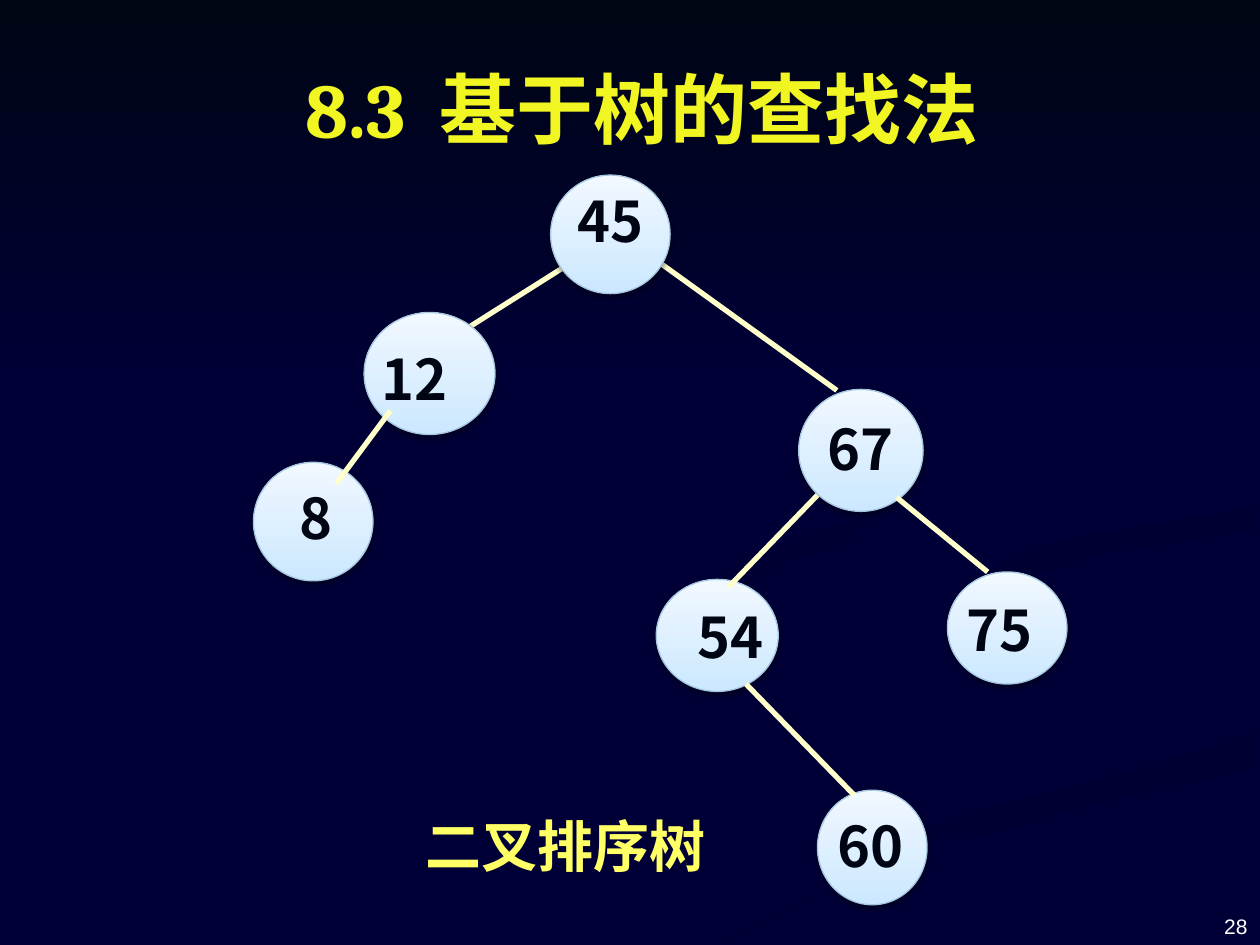
from lxml import etree
from pptx import Presentation
from pptx.dml.color import RGBColor
from pptx.enum.shapes import MSO_CONNECTOR, MSO_SHAPE
from pptx.enum.text import MSO_ANCHOR, PP_ALIGN
from pptx.oxml.ns import qn
from pptx.util import Cm, Pt

STRAIGHT = MSO_CONNECTOR.STRAIGHT
OVAL, RECTANGLE = MSO_SHAPE.OVAL, MSO_SHAPE.RECTANGLE
MIDDLE, BOTTOM = MSO_ANCHOR.MIDDLE, MSO_ANCHOR.BOTTOM
CENTER, RIGHT = PP_ALIGN.CENTER, PP_ALIGN.RIGHT
CJK_FONT = "Noto Sans CJK SC"
NIGHT, INK = "000036", "000514"

# Content: lengths in centimetres
TITLE = ("8.3", " ", "基于树的查找法")
CAPTION = "二叉排序树"
PAGE_NUMBER = "28"

# Number, circle box, label left, top and width
NODES = [
    ("8", (5.11, 9.32, 2.41, 2.39), (5.11, 9.73, 2.51)),
    ("60", (16.48, 15.93, 2.21, 2.31), (16.51, 16.33, 2.08)),
    ("45", (11.1, 3.53, 2.41, 2.39), (10.9, 3.73, 2.82)),
    ("67", (16.1, 7.85, 2.51, 2.46), (16.1, 8.33, 2.51)),
    ("12", (7.34, 6.3, 2.64, 2.46), (7.11, 6.93, 2.51)),
    ("54", (13.23, 11.68, 2.46, 2.26), (13.31, 12.12, 2.82)),
    ("75", (19.1, 11.53, 2.41, 2.26), (18.9, 11.99, 2.51)),
]
EDGES_BEHIND = [(12.09, 4.93, 9.32, 6.68), (12.5, 4.72, 16.87, 7.87)]
EDGES_IN_FRONT = [
    (7.87, 8.28, 6.78, 9.75),
    (18.08, 10.03, 19.91, 11.53),
    (16.48, 9.98, 14.68, 11.84),
    (15.04, 13.79, 17.22, 16.03),
]

# Background ribbons: start colour, end colour, angle, outline
RIBBONS = [
    (NIGHT, "000034", 0, [
        (19.84, 14.05), (18.16, 13.41), (15.9, 12.75), (14.81, 12.12), (14.6, 11.66),
        (14.48, 11.99), (15.29, 12.57), (17.7, 13.34), (19.35, 13.89), (19.96, 14.38),
        (19.28, 14.99), (17.37, 15.57), (14.71, 16.23), (11.63, 17.12), (9.55, 17.96),
        (7.62, 19.02), (9.17, 19.02), (11.84, 17.78), (15.09, 16.66), (17.75, 15.95),
        (19.81, 15.37), (20.32, 14.76), (20.12, 14.25)]),
    (NIGHT, "000034", 315, [
        (23.95, 14.48), (23.34, 13.89), (21.59, 13.31), (19.66, 12.78), (18.62, 12.27),
        (18.39, 11.79), (18.62, 12.4), (19.84, 13.16), (22.05, 13.82), (23.24, 14.5),
        (23.14, 15.06), (22.71, 15.37), (23.67, 14.96)]),
    ("000032", NIGHT, 270, [
        (12.78, 19.02), (14.5, 19.02), (16.48, 18.03), (19.1, 17.07), (21.87, 16.26),
        (25.35, 15.47), (25.35, 14.76), (22.94, 15.49), (19.41, 16.43), (16, 17.6),
        (13.79, 18.62)]),
    (NIGHT, NIGHT, 0, [
        (18.42, 11.79), (18.92, 12.45), (20.62, 13.08), (22.99, 13.72), (23.95, 14.48),
        (23.52, 15.06), (21.41, 15.7), (17.88, 16.64), (14.55, 17.86), (12.12, 19.02),
        (12.78, 19.02), (16, 17.6), (19.43, 16.43), (22.96, 15.49), (25.37, 14.76),
        (25.37, 13.67), (22.96, 13.18), (20.75, 12.5), (19.84, 11.76), (20.6, 11.1),
        (22.83, 10.62), (25.37, 10.21), (25.37, 9.83), (22.2, 10.36), (19.56, 10.85),
        (18.54, 11.4)]),
    ("000033", NIGHT, 315, [
        (19.84, 11.68), (20.09, 12.14), (20.98, 12.6), (20.45, 12.09), (20.73, 11.66),
        (22.3, 11.15), (25.35, 10.67), (25.35, 10.21), (21.97, 10.77), (20.29, 11.23)]),
    ("000032", NIGHT, 315, [
        (17.35, 10.92), (19.96, 10.46), (21.72, 9.93), (22.58, 9.19), (22.61, 8.23),
        (21.69, 7.19), (19.35, 5.92), (21.49, 7.09), (22.58, 8.51), (22.1, 9.27),
        (20.09, 9.96), (16.48, 10.67), (14.83, 11.33), (14.73, 12.04), (15.8, 12.7),
        (15.06, 11.94), (15.85, 11.28)]),
]


def rgb(value):
    return RGBColor.from_string(value)


def place(values):
    return [Cm(value) for value in values]


def paint(shape, start, end, angle):
    """Fill without outline or theme shadow; the angle runs counter-clockwise."""
    shape.shadow.inherit = False
    shape.line.fill.background()
    if start == end:
        shape.fill.solid()
        shape.fill.fore_color.rgb = rgb(start)
        return
    shape.fill.gradient()
    shape.fill.gradient_angle = angle
    for stop, color in zip(shape.fill.gradient_stops, (start, end)):
        stop.color.rgb = rgb(color)


def write(box, spans, size=32, font=CJK_FONT, color=INK, bold=True,
          align=CENTER, anchor=MIDDLE, wrap=True):
    frame = box.text_frame
    frame.word_wrap = wrap
    frame.vertical_anchor = anchor
    para = frame.paragraphs[0]
    para.alignment = align
    for text in spans:
        span = para.add_run()
        span.text = text
        span.font.size = Pt(size)
        span.font.name = font
        span.font.bold = bold
        span.font.color.rgb = rgb(color)
        east_asian = etree.SubElement(span.font._element, qn("a:ea"))
        east_asian.set("typeface", CJK_FONT)
    return para


def add_text(area, text, **style):
    write(slide.shapes.add_textbox(*place(area)), [text], **style)


def add_edges(edges):
    for ends in edges:
        edge = slide.shapes.add_connector(STRAIGHT, *place(ends))
        edge.line.color.rgb = rgb("FFFFCC")
        edge.line.width = Pt(3)
        etree.SubElement(edge._element.spPr, qn("a:effectLst"))


def add_circle(area):
    circle = slide.shapes.add_shape(OVAL, *place(area))
    paint(circle, "CCE8FF", "F1F8FF", 90)
    circle.line.color.rgb = rgb("A5C6DE")
    circle.line.width = Pt(0.75)
    effects = circle._element.spPr.find(qn("a:effectLst"))
    shadow = etree.SubElement(effects, qn("a:outerShdw"), blurRad=str(Pt(3.1)),
                              dist=str(Pt(1.6)), dir="5400000", rotWithShape="0")
    shade = etree.SubElement(shadow, qn("a:srgbClr"), val="000000")
    etree.SubElement(shade, qn("a:alpha"), val="38000")


deck = Presentation()
deck.slide_width, deck.slide_height = Cm(25.4), Cm(19.05)
slide = deck.slides.add_slide(deck.slide_layouts[5])

# Background
slide.background.fill.solid()
slide.background.fill.fore_color.rgb = rgb(NIGHT)
for start, end, angle, outline in RIBBONS:
    points = [place(point) for point in outline]
    builder = slide.shapes.build_freeform(*points[0])
    builder.add_line_segments(points[1:], close=True)
    paint(builder.convert_to_shape(), start, end, angle)
sky = slide.shapes.add_shape(RECTANGLE, *place((0, 0, 25.4, 7.82)))
paint(sky, INK, NIGHT, 270)

# Tree
add_edges(EDGES_BEHIND)
for number, circle_area, (left, top, width) in NODES:
    add_circle(circle_area)
    add_text((left, top - 0.1, width, 1.6), number)
add_edges(EDGES_IN_FRONT)

# Caption and page number
add_text((8.31, 16.23, 6.17, 1.6), CAPTION, font="Times New Roman",
         color="FFFF66", wrap=False)
add_text((19.48, 17.73, 5.92, 1.32), PAGE_NUMBER, size=12, font="Arial",
         color="FFFFFF", bold=False, align=RIGHT, anchor=BOTTOM)

# Title, in front of the background, with a widened gap after the number
title = slide.shapes.title
title.left, title.top, title.width, title.height = place((1.52, 0.81, 22.86, 2.72))
heading = write(title, TITLE, size=44, font="Cambria", color="F1F622")
heading.runs[1].font._element.set("spc", "1000")
slide.shapes._spTree.append(title._element)

deck.save("out.pptx")
